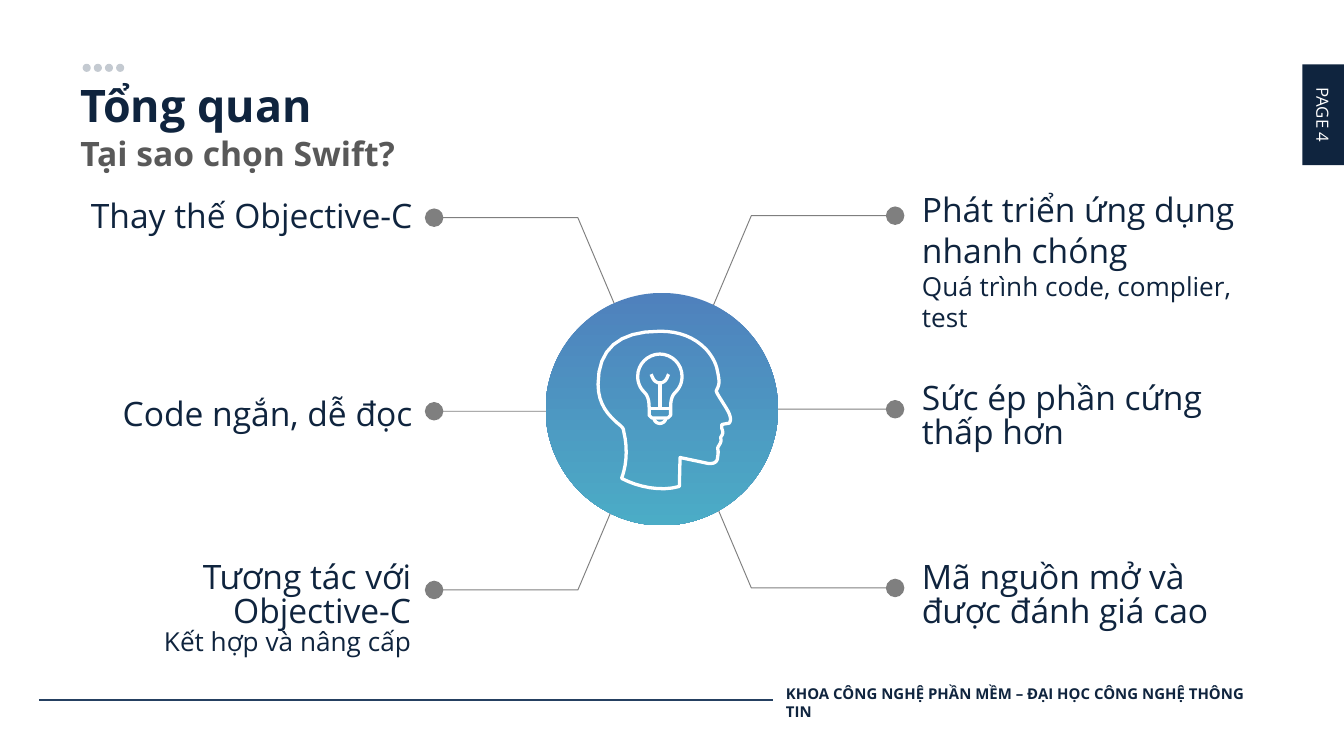
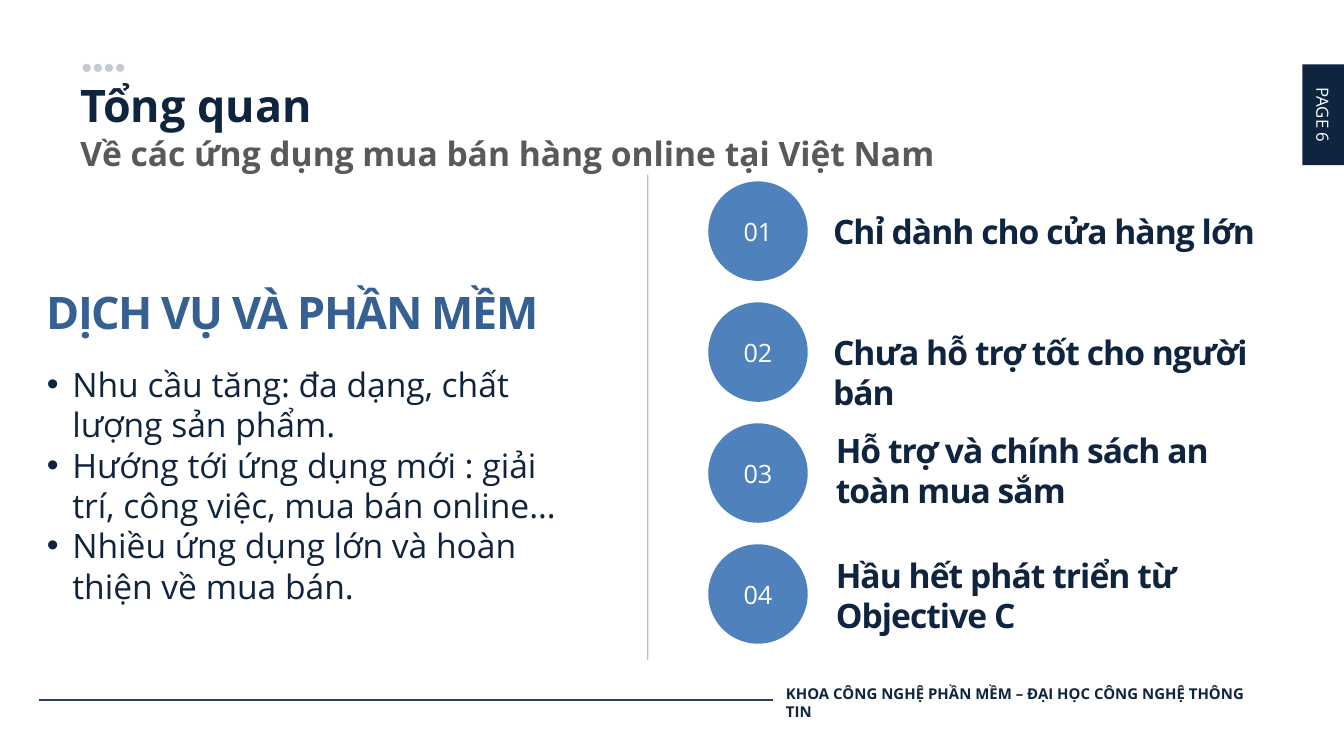
from dataclasses import dataclass, replace
from typing import Any, NamedTuple, Optional, Sequence

from lxml.etree import SubElement
from pptx import Presentation
from pptx.dml.color import RGBColor
from pptx.enum.shapes import MSO_CONNECTOR as Conn, MSO_SHAPE as Shape
from pptx.enum.text import MSO_ANCHOR as Anchor, MSO_AUTO_SIZE as Fit, PP_ALIGN as Align
from pptx.oxml.ns import qn
from pptx.util import Emu, Inches, Pt

WIDTH, HEIGHT = Inches(10), Inches(5.625)
COLUMNS = 100
CELL = WIDTH // COLUMNS


@dataclass(frozen=True)
class Theme:
    """Colours, typeface and type sizes of the deck."""
    font: str = "Open Sans"
    navy: str = "0F243E"
    rule: str = "254061"
    heading: str = "376092"
    grey: str = "595959"
    divider: str = "7F7F7F"
    dots: str = "C4CAD1"
    blue: str = "4F81BD"
    teal: str = "4BACC6"
    white: str = "FFFFFF"
    black: str = "000000"
    title: float = 24
    body: float = 18
    note: float = 14
    number: float = 13.5
    page: float = 9
    footer: float = 8


T = Theme()


class Box(NamedTuple):
    """Left, top, width and height in grid cells."""
    x: float
    y: float
    w: float
    h: float

    def emu(self) -> list[Emu]:
        """Return the four lengths in EMU."""
        return [cells(v) for v in self]


@dataclass(frozen=True)
class Style:
    """Look of one paragraph."""
    size: float = T.body
    color: str = T.navy
    bold: bool = False
    tracking: float = 0
    align: Align = Align.LEFT
    leading: Optional[float] = None
    after: float = 0
    bullet: bool = False


class Line(NamedTuple):
    """A paragraph and its style."""
    text: str
    style: Style


class Label(NamedTuple):
    """A text block at a place on the grid."""
    box: Box
    lines: Sequence[Line]


class Stroke(NamedTuple):
    """Look of a line."""
    color: str
    width: float
    alpha: int = 100
    dot_end: bool = False


BULLET = Style(bullet=True)
LEFT = Style(leading=0.85)
RIGHT = replace(LEFT, align=Align.RIGHT)
TITLE = Style(T.title, bold=True)
SUBTITLE = Style(color=T.grey, bold=True, leading=0.86)
POINT = Style(bold=True, tracking=-0.5, after=1.5)
CENTRED = Style(color=T.white, align=Align.CENTER)
SPOKE = Stroke(T.black, 0.5, 50, True)

AXIS_X, AXIS_Y = 49.45, 30.05
ELBOW = ((-0.95, -0.85), (-6.45, -13.85), (-17.15, -13.85))
STRAIGHT = ((-8.45, 0.55), (-17.15, 0.55))

HEAD = (
    (54.2, 30.65), (53.9, 30.1, 53.3, 29.25, 53.3, 29.1),
    (53.3, 29, 53.5, 28.8, 53.5, 28.4), (53.5, 28.1, 53.4, 27.7, 53.35, 27.45),
    (53.3, 27.2, 53.1, 26.6, 52.5, 25.95), (51.65, 25.1, 50.55, 24.65, 49.1, 24.65),
    (46, 24.65, 44.5, 26, 44.5, 28.6), (44.5, 30.15, 45.35, 30.95, 45.9, 31.45),
    (46.2, 31.7, 46.4, 31.85, 46.4, 32.05), (46.8, 33.65, 46.5, 34.95, 46.25, 35.6),
    (47.5, 36.25, 49.15, 36.6, 50.55, 36.2), (50.6, 34.05),
    (51.1, 34.15, 52.5, 34.45, 52.75, 34.5), (52.95, 34.5, 53.4, 34.5, 53.4, 34),
    (53.45, 33.7, 53.45, 33.55, 53.4, 33.4), (53.4, 33.2, 53.6, 33.1, 53.65, 32.8),
    (53.65, 32.6, 53.6, 32.6, 53.65, 32.5), (53.8, 32.3, 53.8, 32.2, 53.75, 32),
    (53.7, 31.9, 53.7, 31.8, 53.7, 31.6), (53.9, 31.55, 54.2, 31.5, 54.25, 31.5),
    (54.4, 31.3, 54.4, 31.1, 54.2, 30.65),
)
BULB = (
    (49.1, 26.35), (48.2, 26.35, 47.45, 27.1, 47.45, 28),
    (47.45, 28.45, 47.6, 28.85, 47.95, 29.2), (48.1, 29.35, 48.3, 29.6, 48.3, 30.3),
    (48.3, 30.9), (48.5, 31.1), (49.7, 31.1), (49.9, 30.9), (49.9, 30.3),
    (49.9, 29.6, 50.1, 29.35, 50.25, 29.2), (50.6, 28.85, 50.75, 28.45, 50.75, 28),
    (50.75, 27.1, 50, 26.35, 49.1, 26.35),
)
SOCKET = ((48.3, 30.4), (49.9, 30.4))
CAP = ((48.65, 31.1), (48.7, 31.65, 49.5, 31.65, 49.55, 31.1))
STEM = ((49.1, 30.4), (49.1, 28.5))
FILAMENT = ((48.45, 27.85), (48.5, 27.9, 48.6, 28.5, 49.1, 28.5),
            (49.6, 28.5, 49.7, 27.9, 49.75, 27.85))

REASONS = (
    Label(Box(5, 14.5, 25.7, 3.6), [Line("Thay thế Objective-C", RIGHT)]),
    Label(Box(7.5, 29.2, 23.2, 3.6), [Line("Code ngắn, dễ đọc", RIGHT)]),
    Label(Box(10.8, 41.3, 19.8, 8.2), [
        Line("Tương tác với Objective-C", RIGHT),
        Line("Kết hợp và nâng cấp", replace(RIGHT, size=T.note))]),
    Label(Box(68.6, 13.6, 26.4, 9.4), [
        Line("Phát triển ứng dụng nhanh chóng", Style()),
        Line("Quá trình code, complier, test", Style(T.note))]),
    Label(Box(68.6, 28, 22.3, 6.2), [Line("Sức ép phần cứng thấp hơn", LEFT)]),
    Label(Box(68.6, 41.3, 22.3, 6.2), [Line("Mã nguồn mở và được đánh giá cao", LEFT)]),
)
SERVICES = Label(Box(2.5, 20.7, 41.3, 29.7), [
    Line("DỊCH VỤ VÀ PHẦN MỀM",
         Style(T.title, T.heading, True, tracking=-0.8, after=13.6)),
    Line("Nhu cầu tăng: đa dạng, chất lượng sản phẩm.", BULLET),
    Line("Hướng tới ứng dụng mới : giải trí, công việc, mua bán online…", BULLET),
    Line("Nhiều ứng dụng lớn và hoàn thiện về mua bán.", BULLET),
])
POINTS = (
    Label(Box(61, 15.2, 34, 4), [Line("Chỉ dành cho cửa hàng lớn", POINT)]),
    Label(Box(61, 24.2, 37.3, 6.1), [Line("Chưa hỗ trợ tốt cho người bán", POINT)]),
    Label(Box(61.2, 31.5, 30.1, 7.1), [Line("Hỗ trợ và chính sách an toàn mua sắm", POINT)]),
    Label(Box(61.2, 40.8, 30.1, 7.1), [Line("Hầu hết phát triển từ Objective C", POINT)]),
)


def cells(n: float) -> Emu:
    """Convert grid cells to EMU."""
    return Emu(round(n * CELL))


def apply(target: Any, **values: Any) -> None:
    """Set each named value on the target."""
    for name, value in values.items():
        setattr(target, name, value)


def write(s: Any, lines: Sequence[Line], anchor: Anchor = Anchor.TOP, **frame: Any) -> None:
    """Fill a shape with styled paragraphs."""
    tf = s.text_frame
    apply(tf, word_wrap=True, vertical_anchor=anchor, **frame)
    for i, (text, style) in enumerate(lines):
        p = tf.add_paragraph() if i else tf.paragraphs[0]
        if style.bullet:
            pPr = p._p.get_or_add_pPr()
            pPr.set("marL", str(cells(1.9)))
            pPr.set("indent", str(-cells(1.9)))
            SubElement(pPr, qn("a:buFont")).set("typeface", "Arial")
            SubElement(pPr, qn("a:buChar")).set("char", "•")
        apply(p, alignment=style.align, line_spacing=style.leading, space_after=Pt(style.after))
        r = p.add_run()
        r.text = text
        apply(r.font, name=T.font, size=Pt(style.size), bold=style.bold)
        r.font.color.rgb = RGBColor.from_string(style.color)
        if style.tracking:
            r._r.get_or_add_rPr().set("spc", str(round(style.tracking * 100)))


def add_text(slide: Any, label: Label, anchor: Anchor = Anchor.TOP, **frame: Any) -> None:
    """Add a text box."""
    write(slide.shapes.add_textbox(*label.box.emu()), label.lines, anchor, **frame)


def add_solid(slide: Any, kind: Shape, box: Box, color: str) -> Any:
    """Add a flat preset shape without outline."""
    s = slide.shapes.add_shape(kind, *box.emu())
    s.shadow.inherit = False
    s.fill.solid()
    s.fill.fore_color.rgb = RGBColor.from_string(color)
    s.line.fill.background()
    return s


def draw_stroke(s: Any, stroke: Stroke) -> None:
    """Style the line of a shape or connector."""
    s.line.color.rgb = RGBColor.from_string(stroke.color)
    s.line.width = Pt(stroke.width)
    ln = s._element.spPr.find(qn("a:ln"))
    if stroke.alpha < 100:
        SubElement(ln.find(".//" + qn("a:srgbClr")), qn("a:alpha")).set("val", str(stroke.alpha * 1000))
    if stroke.dot_end:
        end = SubElement(ln, qn("a:tailEnd"))
        for name, value in {"type": "oval", "w": "lg", "len": "lg"}.items():
            end.set(name, value)


def add_line(slide: Any, start: Sequence[float], end: Sequence[float], stroke: Stroke) -> None:
    """Add a straight connector."""
    s = slide.shapes.add_connector(Conn.STRAIGHT, *[cells(v) for v in (*start, *end)])
    draw_stroke(s, stroke)
    SubElement(s._element.spPr, qn("a:effectLst"))


def flatten(segments: Sequence[Sequence[float]], steps: int = 8) -> list[tuple[float, float]]:
    """Turn line and cubic segments into points."""
    points = [tuple(segments[0])]
    for seg in segments[1:]:
        if len(seg) == 2:
            points.append(tuple(seg))
            continue
        ctrl = [points[-1], seg[:2], seg[2:4], seg[4:]]
        for t in (i / steps for i in range(1, steps + 1)):
            weights = ((1 - t) ** 3, 3 * t * (1 - t) ** 2, 3 * t * t * (1 - t), t ** 3)
            points.append(tuple(sum(w * c[k] for w, c in zip(weights, ctrl)) for k in (0, 1)))
    return points


def add_outline(slide: Any, contours: Sequence[Sequence[Sequence[float]]], stroke: Stroke) -> None:
    """Add an unfilled freeform from one or more contours."""
    builder = None
    for contour in contours:
        first, *rest = [tuple(cells(v) for v in pt) for pt in flatten(contour)]
        if builder is None:
            builder = slide.shapes.build_freeform(*first)
        else:
            builder.move_to(*first)
        builder.add_line_segments(rest, close=False)
    s = builder.convert_to_shape()
    s.shadow.inherit = False
    s.fill.background()
    draw_stroke(s, stroke)


def add_base(prs: Any, page: int, subtitle: str) -> Any:
    """Add a slide with the shared title, dots, tag and footer."""
    slide = prs.slides.add_slide(prs.slide_layouts[6])
    tag = add_solid(slide, Shape.RECTANGLE, Box(94.7, 7, 7.5, 3.1), T.navy)
    tag.rotation = 90
    write(tag, [Line(f"PAGE {page}", replace(CENTRED, size=T.page))], Anchor.MIDDLE)
    add_line(slide, (2.9, 52.1), (57.5, 52.1), Stroke(T.rule, 0.75))
    footer = Line("KHOA CÔNG NGHỆ PHẦN MỀM – ĐẠI HỌC CÔNG NGHỆ THÔNG TIN",
                  Style(T.footer, bold=True))
    add_text(slide, Label(Box(57.5, 50.6, 38.3, 3.3), [footer]), Anchor.MIDDLE)
    for i in range(4):
        dot = add_solid(slide, Shape.OVAL, Box(6.2 + 0.83 * i, 4.8, 0.5, 0.5), T.dots)
        draw_stroke(dot, Stroke(T.dots, 0.75))
    add_text(slide, Label(Box(5, 3.1, 90, 9.3), [Line("Tổng quan", TITLE)]), Anchor.MIDDLE)
    add_text(slide, Label(Box(5, 9.85, 85, 3.3), [Line(subtitle, SUBTITLE)]))
    return slide


def add_reasons(prs: Any) -> None:
    """Build the slide with six reasons around a hub."""
    slide = add_base(prs, 4, "Tại sao chọn Swift?")
    for side, axis_y in ((1, AXIS_Y), (-1, AXIS_Y - 0.15)):
        for flip in (1, -1):
            add_outline(slide, [[(AXIS_X + side * x, axis_y + flip * y) for x, y in ELBOW]], SPOKE)
        add_line(slide, *[(AXIS_X + side * x, axis_y + y) for x, y in STRAIGHT], SPOKE)
    hub = add_solid(slide, Shape.OVAL, Box(40.6, 21.8, 17.3, 17.3), T.blue)
    hub.fill.gradient()
    hub.fill.gradient_angle = 270
    for stop, color in zip(hub.fill.gradient_stops, (T.blue, T.teal)):
        stop.color.rgb = RGBColor.from_string(color)
    add_outline(slide, (HEAD, BULB, SOCKET, CAP, STEM, FILAMENT), Stroke(T.white, 1.75))
    for label in REASONS:
        add_text(slide, label, margin_left=0, margin_right=0, auto_size=Fit.SHAPE_TO_FIT_TEXT)


def add_market(prs: Any) -> None:
    """Build the slide with services and four numbered points."""
    slide = add_base(prs, 6, "Về các ứng dụng mua bán hàng online tại Việt Nam")
    add_text(slide, SERVICES, auto_size=Fit.SHAPE_TO_FIT_TEXT)
    add_line(slide, (48.2, 13), (48.2, 49.1), Stroke(T.divider, 0.75, 50))
    for i, label in enumerate(POINTS):
        add_text(slide, label, auto_size=Fit.SHAPE_TO_FIT_TEXT)
        disc = add_solid(slide, Shape.OVAL, Box(52.7, 13.5 + 9 * i, 7.4, 7.4), T.blue)
        write(disc, [Line(f"{i + 1:02}", replace(CENTRED, size=T.number))], Anchor.MIDDLE)


def main() -> None:
    """Build and save the deck."""
    prs = Presentation()
    apply(prs, slide_width=WIDTH, slide_height=HEIGHT)
    add_reasons(prs)
    add_market(prs)
    prs.save("out.pptx")


if __name__ == "__main__":
    main()
